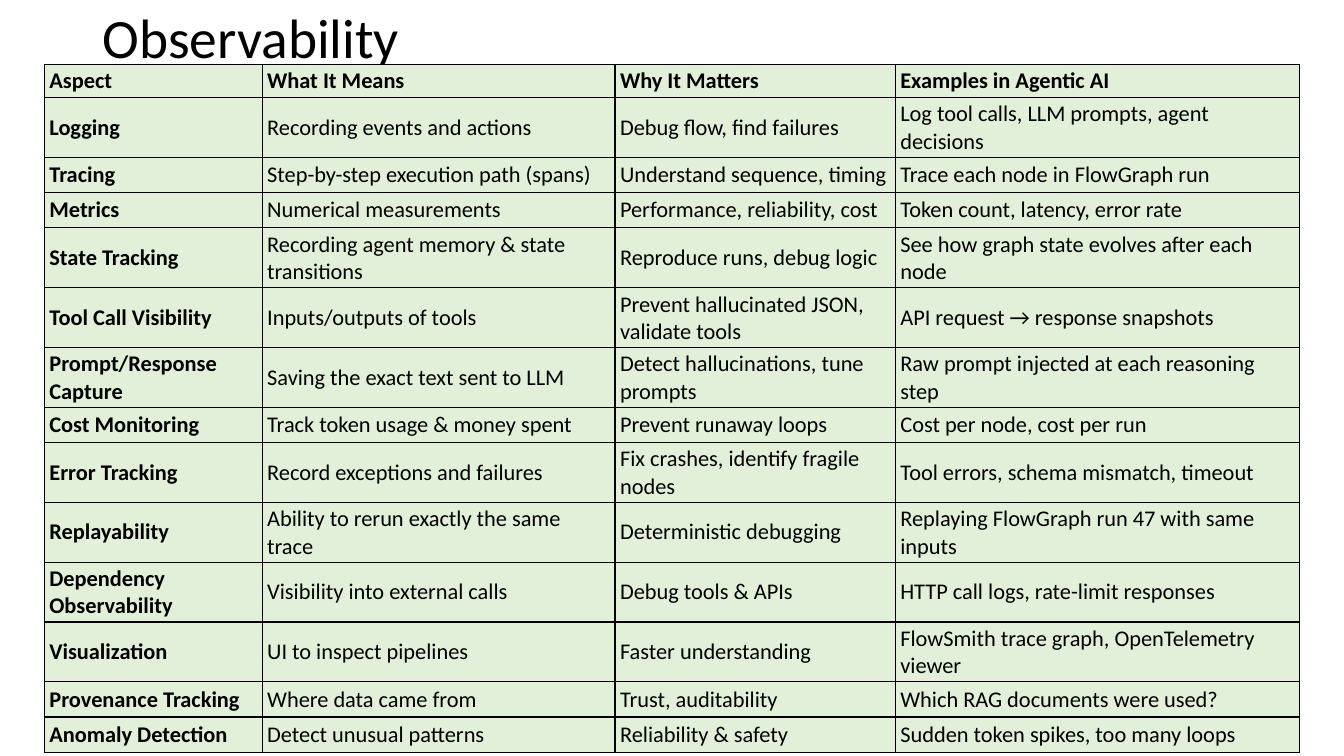
from dataclasses import dataclass

from lxml import etree
from pptx import Presentation
from pptx.dml.color import RGBColor
from pptx.enum.text import MSO_ANCHOR
from pptx.oxml.ns import qn
from pptx.util import Inches, Pt

MIDDLE = MSO_ANCHOR.MIDDLE
BLANK_LAYOUT = 6


@dataclass(frozen=True)
class Theme:
    font: str = "Calibri"
    text: str = "000000"
    border: str = "000000"
    cell_fill: str = "E2F0D9"
    title_size: float = 39.6
    cell_size: float = 16
    border_width: float = 1


THEME = Theme()

COLUMN_WIDTHS = (2.16, 3.5, 2.78, 4.01)
HEADER_HEIGHT = 0.2
ROW_HEIGHT = 0.35

ASPECTS = [
    ("Aspect", "What It Means", "Why It Matters", "Examples in Agentic AI"),
    ("Logging", "Recording events and actions", "Debug flow, find failures",
     "Log tool calls, LLM prompts, agent decisions"),
    ("Tracing", "Step-by-step execution path (spans)", "Understand sequence, timing",
     "Trace each node in FlowGraph run"),
    ("Metrics", "Numerical measurements", "Performance, reliability, cost",
     "Token count, latency, error rate"),
    ("State Tracking", "Recording agent memory & state transitions",
     "Reproduce runs, debug logic", "See how graph state evolves after each node"),
    ("Tool Call Visibility", "Inputs/outputs of tools",
     "Prevent hallucinated JSON, validate tools", "API request → response snapshots"),
    ("Prompt/Response Capture", "Saving the exact text sent to LLM",
     "Detect hallucinations, tune prompts", "Raw prompt injected at each reasoning step"),
    ("Cost Monitoring", "Track token usage & money spent", "Prevent runaway loops",
     "Cost per node, cost per run"),
    ("Error Tracking", "Record exceptions and failures",
     "Fix crashes, identify fragile nodes", "Tool errors, schema mismatch, timeout"),
    ("Replayability", "Ability to rerun exactly the same trace",
     "Deterministic debugging", "Replaying FlowGraph run 47 with same inputs"),
    ("Dependency Observability", "Visibility into external calls",
     "Debug tools & APIs", "HTTP call logs, rate-limit responses"),
    ("Visualization", "UI to inspect pipelines", "Faster understanding",
     "FlowSmith trace graph, OpenTelemetry viewer"),
    ("Provenance Tracking", "Where data came from", "Trust, auditability",
     "Which RAG documents were used?"),
    ("Anomaly Detection", "Detect unusual patterns", "Reliability & safety",
     "Sudden token spikes, too many loops"),
]


def style_font(paragraph, size, bold=False):
    font = paragraph.font
    font.name = THEME.font
    font.size = Pt(size)
    font.bold = bold
    font.color.rgb = RGBColor.from_string(THEME.text)


def add_title(slide, text):
    title = slide.shapes.add_textbox(Inches(0.92), Inches(0.07), Inches(11.5), Inches(0.66))
    frame = title.text_frame
    frame.word_wrap = True
    frame.vertical_anchor = MIDDLE
    heading = frame.paragraphs[0]
    heading.text = text
    heading.line_spacing = 0.9
    style_font(heading, THEME.title_size)


def add_borders(cell):
    properties = cell._tc.get_or_add_tcPr()
    # Border lines must precede the fill
    for position, side in enumerate(("lnL", "lnR", "lnT", "lnB")):
        line = etree.Element(qn(f"a:{side}"), w=str(Pt(THEME.border_width)))
        fill = etree.SubElement(line, qn("a:solidFill"))
        etree.SubElement(fill, qn("a:srgbClr"), val=THEME.border)
        properties.insert(position, line)


def fill_cell(cell, text, bold):
    cell.margin_left = cell.margin_right = Inches(0.05)
    cell.margin_top = cell.margin_bottom = Inches(0.03)
    cell.vertical_anchor = MIDDLE
    cell.fill.solid()
    cell.fill.fore_color.rgb = RGBColor.from_string(THEME.cell_fill)
    entry = cell.text_frame.paragraphs[0]
    entry.text = text
    style_font(entry, THEME.cell_size, bold)
    add_borders(cell)


def add_aspect_table(slide, aspects):
    height = HEADER_HEIGHT + ROW_HEIGHT * (len(aspects) - 1)
    table = slide.shapes.add_table(
        len(aspects), len(COLUMN_WIDTHS), Inches(0.44), Inches(0.64),
        Inches(sum(COLUMN_WIDTHS)), Inches(height)).table
    table.first_row = table.horz_banding = False
    for column, width in zip(table.columns, COLUMN_WIDTHS):
        column.width = Inches(width)
    for row_index, aspect in enumerate(aspects):
        table.rows[row_index].height = Inches(ROW_HEIGHT if row_index else HEADER_HEIGHT)
        for column_index, text in enumerate(aspect):
            is_heading = row_index == 0 or column_index == 0
            fill_cell(table.cell(row_index, column_index), text, is_heading)


def main():
    deck = Presentation()
    deck.slide_width, deck.slide_height = Inches(13.33), Inches(7.5)
    slide = deck.slides.add_slide(deck.slide_layouts[BLANK_LAYOUT])

    # Title above the table
    add_title(slide, "Observability")

    # Aspects of observability
    add_aspect_table(slide, ASPECTS)

    deck.save("out.pptx")


if __name__ == "__main__":
    main()
